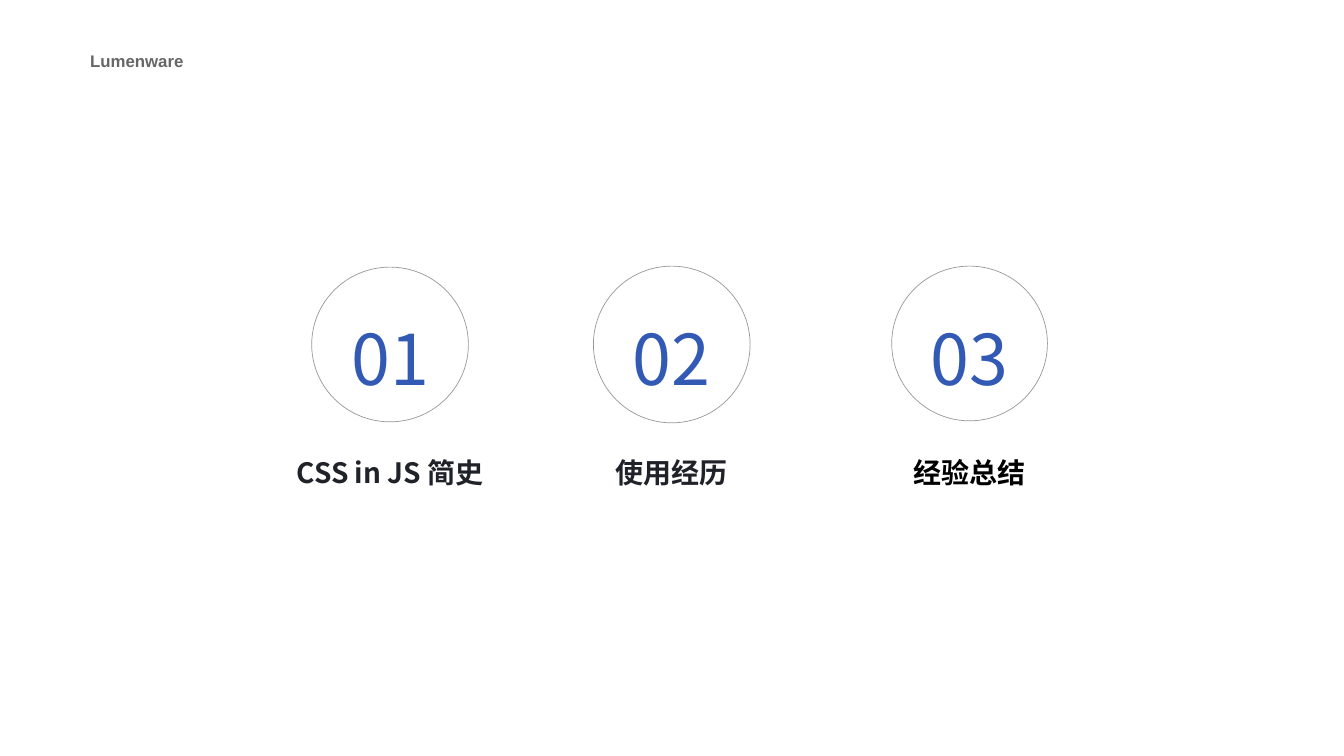
from lxml import etree
from pptx import Presentation
from pptx.dml.color import RGBColor
from pptx.enum.shapes import MSO_SHAPE
from pptx.enum.text import MSO_ANCHOR, PP_ALIGN
from pptx.oxml.ns import qn
from pptx.util import Inches, Pt

OVAL = MSO_SHAPE.OVAL
TOP, MIDDLE = MSO_ANCHOR.TOP, MSO_ANCHOR.MIDDLE
LEFT, CENTER = PP_ALIGN.LEFT, PP_ALIGN.CENTER

COLORS = {
    "ring": "979797",
    "number": "325AB4",
    "label": "1F2329",
    "black": "000000",
    "header": "666666",
}
CJK = "Noto Sans CJK SC"
LATIN = "Arial"


class Deck:
    line_spacing = 1.31

    def __init__(self, width, height):
        self.prs = Presentation()
        self.prs.slide_width = Inches(width)
        self.prs.slide_height = Inches(height)
        self.s = self.prs.slides.add_slide(self.prs.slide_layouts[6])

    def color(self, name):
        return RGBColor.from_string(COLORS[name])

    def ring(self, center, top, width, height):
        sp = self.s.shapes.add_shape(OVAL, Inches(center - width / 2), Inches(top),
                                     Inches(width), Inches(height))
        sp.shadow.inherit = False
        sp.fill.background()
        sp.line.color.rgb = self.color("ring")
        sp.line.width = Pt(1)

    def text(self, words, left, top, width, height, size, color,
             font=CJK, bold=False, align=CENTER, anchor=MIDDLE):
        sp = self.s.shapes.add_textbox(Inches(left), Inches(top),
                                       Inches(width), Inches(height))
        tf = sp.text_frame
        tf.word_wrap = True
        tf.vertical_anchor = anchor
        p = tf.paragraphs[0]
        p.alignment = align
        p.line_spacing = self.line_spacing
        r = p.add_run()
        r.text = words
        r.font.size = Pt(size)
        r.font.bold = bold
        r.font.color.rgb = self.color(color)
        r.font.name = font
        ea = etree.SubElement(r.font._element, qn("a:ea"))
        ea.set("typeface", font)


def main():
    deck = Deck(26.67, 15)
    sections = [
        ("CSS in JS 简史", 7.74, 5.3, 3.11, 3.07, 4.72, "label"),
        ("使用经历", 13.33, 5.28, 3.11, 3.11, 3.74, "label"),
        ("经验总结", 19.24, 5.28, 3.09, 3.07, 3.74, "black"),
    ]
    for i, (label, center, top, width, height, label_width, color) in enumerate(sections, 1):
        deck.ring(center, top, width, height)
        deck.text(f"{i:02d}", center - 2.13 / 2, 5.73, 2.13, 2.22, 100, "number")
        deck.text(label, center - label_width / 2, 8.83, label_width, 0.89, 40, color, bold=True)
    deck.text("Lumenware", 1.69, 0.83, 3.97, 0.53, 24, "header",
              font=LATIN, bold=True, align=LEFT, anchor=TOP)
    deck.prs.save("out.pptx")


if __name__ == "__main__":
    main()
